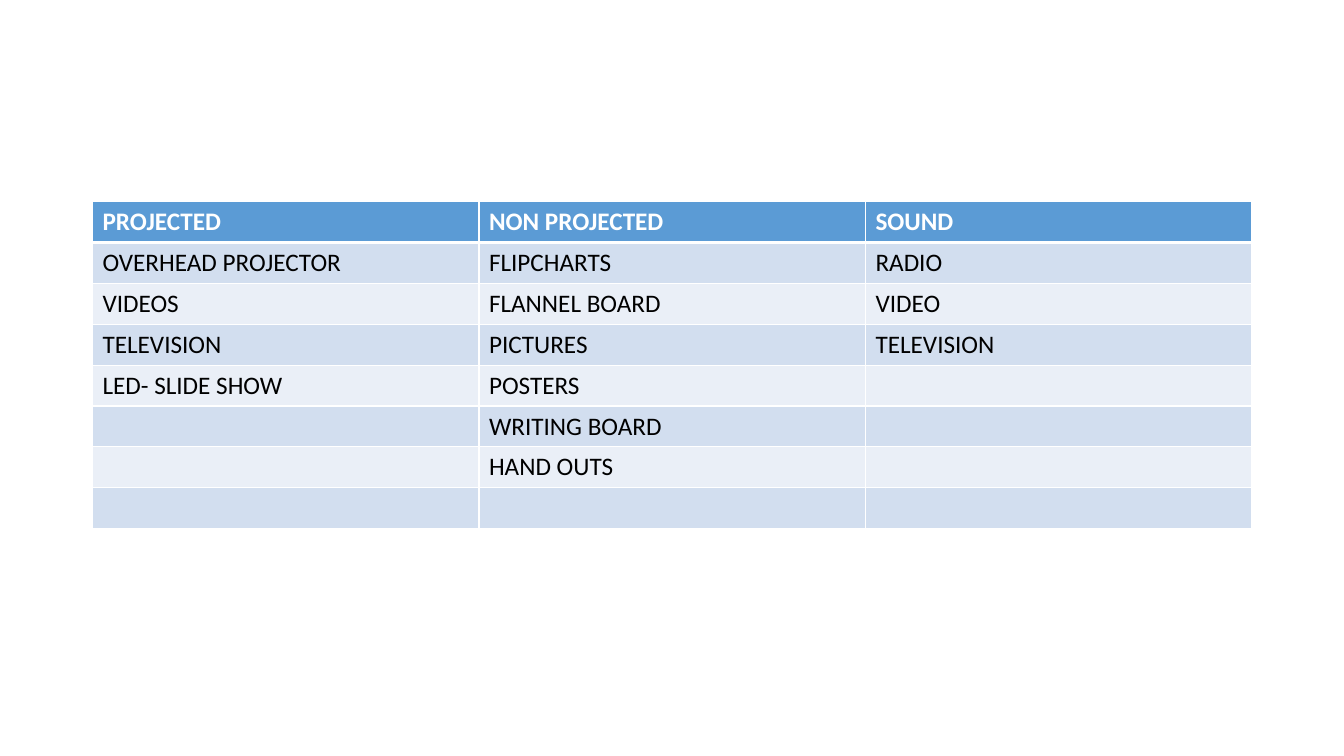
"""Build a slide with a table of projected, non-projected and sound aids."""
from lxml import etree
from pptx import Presentation
from pptx.dml.color import RGBColor
from pptx.oxml.ns import qn
from pptx.util import Cm, Pt

COLORS = {"head": "5B9BD5", "odd": "D2DEEF", "even": "EAEFF7",
          "white": "FFFFFF", "black": "000000"}
ROWS = [
    ("PROJECTED", "NON PROJECTED", "SOUND"),
    ("OVERHEAD PROJECTOR", "FLIPCHARTS", "RADIO"),
    ("VIDEOS", "FLANNEL BOARD", "VIDEO"),
    ("TELEVISION", "PICTURES", "TELEVISION"),
    ("LED- SLIDE SHOW", "POSTERS", ""),
    ("", "WRITING BOARD", ""),
    ("", "HAND OUTS", ""),
    ("", "", ""),
]


def write(cell, text, size=18, color="black", bold=False):
    """Put formatted text in a cell."""
    para = cell.text_frame.paragraphs[0]
    para.font.size = Pt(size)
    if text:
        run = para.add_run()
        run.text = text
        run.font.name = "Calibri"
        run.font.size = Pt(size)
        run.font.bold = bold
        run.font.color.rgb = RGBColor.from_string(COLORS[color])


def border(cell, **widths):
    """Draw white cell borders, with widths in points by side."""
    props = cell._tc.get_or_add_tcPr()
    for side, width in widths.items():
        line = etree.SubElement(props, qn(f"a:ln{side}"), w=str(Pt(width)))
        fill = etree.SubElement(line, qn("a:solidFill"))
        etree.SubElement(fill, qn("a:srgbClr"), val=COLORS["white"])


prs = Presentation()
prs.slide_width, prs.slide_height = Cm(33.87), Cm(19.05)
slide = prs.slides.add_slide(prs.slide_layouts[6])

wide, high = Cm(9.74), Cm(1.03)
count = len(ROWS[0])
table = slide.shapes.add_table(len(ROWS), count, Cm(2.33), Cm(5.08),
                               wide * count, high * len(ROWS)).table
for col in table.columns:
    col.width = wide
for row in table.rows:
    row.height = high

for r, texts in enumerate(ROWS):
    head = r == 0
    shade = "head" if head else "odd" if r % 2 else "even"
    for c, text in enumerate(texts):
        cell = table.cell(r, c)
        border(cell, L=1, R=1, T=3 if r == 1 else 1, B=3 if head else 1)
        cell.fill.solid()
        cell.fill.fore_color.rgb = RGBColor.from_string(COLORS[shade])
        write(cell, text, color="white" if head else "black", bold=head)

prs.save("out.pptx")
